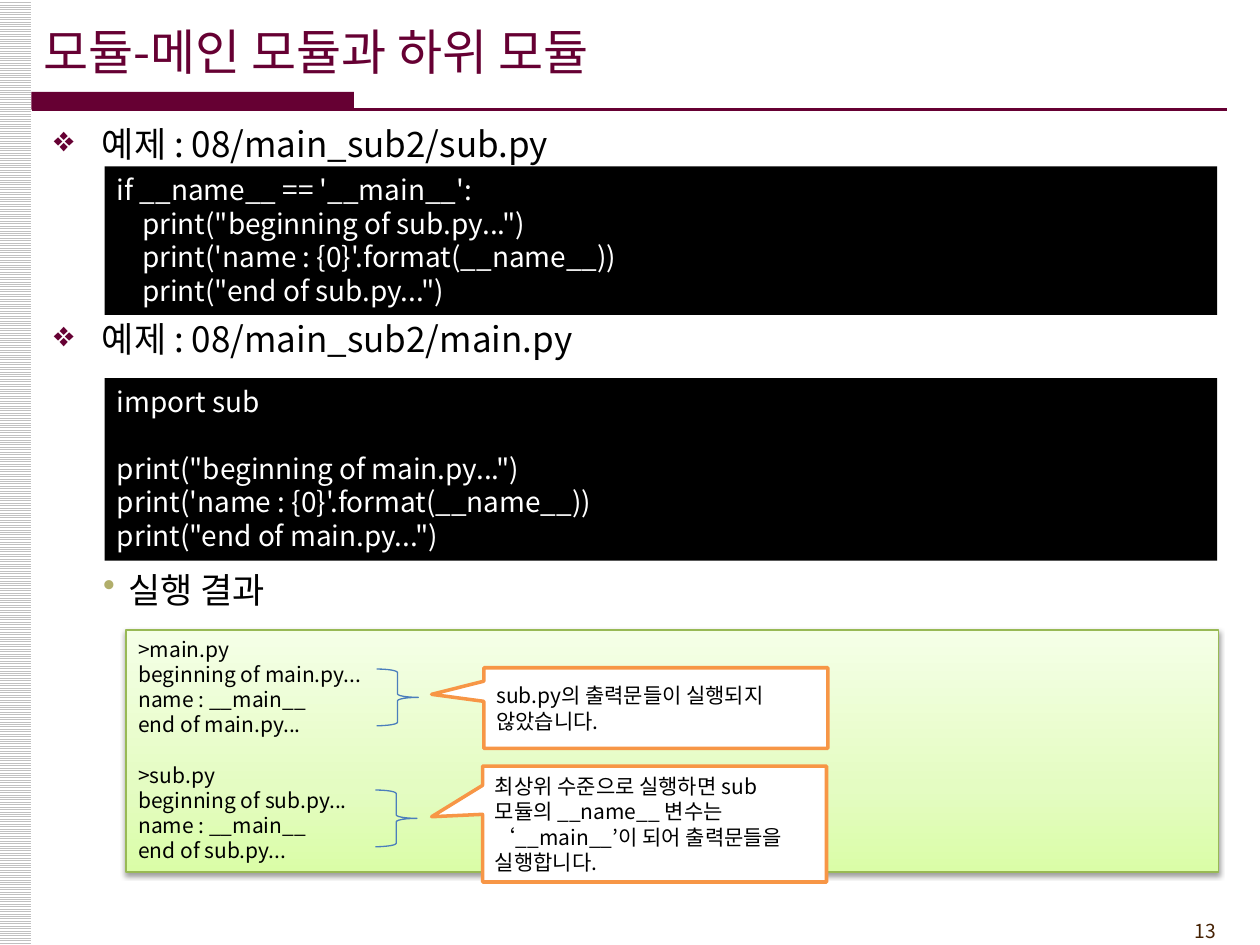
"""Build the slide about main modules and submodules."""
from copy import deepcopy

from lxml import etree
from pptx import Presentation
from pptx.dml.color import RGBColor
from pptx.enum import dml, shapes, text
from pptx.oxml.ns import qn
from pptx.util import Inches, Pt

FONT = "Noto Sans CJK KR"
COLORS = {
    "plum": "660033", "olive": "B1AE6B", "black": "000000", "white": "FFFFFF",
    "stripe": "C0C0C0", "number": "452103", "green": "98B955",
    "blue": "4B7EBC", "orange": "F79646",
}
GRADIENT = [(0, "DAFDA7"), (0.35, "E4FCC2"), (1, "F5FFE7")]
TITLE = "모듈-메인 모듈과 하위 모듈"
HEADINGS = [
    (0.92, "예제 : 08/main_sub2/sub.py", "❖", "plum", 0.38, 0.38),
    (2.47, "예제 : 08/main_sub2/main.py", "❖", "plum", 0.38, 0.38),
    (4.46, "실행 결과", "•", "olive", 0.59, 0.2),
]
CODE_BLOCKS = [
    (1.32, 1.18, [["if __name__ == '__main__':",
                   ("print(\"beginning of sub.py...\")", 0.2),
                   ("print('name : {0}'.format(__name__))", 0.2),
                   ("print(\"end of sub.py...\")", 0.2)]]),
    (3, 1.45, [["import sub"],
               ["print(\"beginning of main.py...\")",
                "print('name : {0}'.format(__name__))",
                "print(\"end of main.py...\")"]]),
]
OUTPUT = [
    [f">{name}", f"beginning of {name}...", "name : __main__", f"end of {name}..."]
    for name in ("main.py", "sub.py")
]
BRACES = [(2.99, 5.31), (2.98, 6.27)]
CALLOUTS = [
    (3.84, 5.3, 0.64, (-0.652, -0.17), "sub.py의 출력문들이 실행되지 않았습니다."),
    (3.83, 6.08, 0.92, (-0.648, -0.063),
     "최상위 수준으로 실행하면 sub 모듈의 __name__ 변수는 "
     "‘__main__’이 되어 출력문들을 실행합니다."),
]


def rgb(name):
    return RGBColor.from_string(COLORS[name])


def write(shape, groups, size=12, color="black", align="LEFT", anchor="TOP"):
    """Write groups of lines, one empty line's height apart."""
    frame = shape.text_frame
    frame.word_wrap = True
    frame.vertical_anchor = text.MSO_ANCHOR[anchor]
    paragraph = None
    for group in groups:
        for position, line in enumerate(group):
            content, indent = line if isinstance(line, tuple) else (line, 0)
            first = paragraph is None
            paragraph = frame.paragraphs[0] if first else frame.add_paragraph()
            paragraph.alignment = text.PP_ALIGN[align]
            if position == 0 and not first:
                paragraph.space_before = Pt(size * 1.2)
            if indent:
                paragraph._p.get_or_add_pPr().set("marL", str(Inches(indent)))
            run = paragraph.add_run()
            run.text = content
            run.font.size = Pt(size)
            run.font.name = FONT
            run.font.color.rgb = rgb(color)
            etree.SubElement(run._r.rPr, qn("a:ea"), typeface=FONT)


def add_box(slide, box, kind="RECTANGLE", fill=None, line=None, width=0.75):
    shape = slide.shapes.add_shape(
        shapes.MSO_SHAPE[kind], *(Inches(length) for length in box))
    shape.shadow.inherit = False
    if fill:
        shape.fill.solid()
        shape.fill.fore_color.rgb = rgb(fill)
    else:
        shape.fill.background()
    if line:
        shape.line.color.rgb = rgb(line)
        shape.line.width = Pt(width)
    else:
        shape.line.fill.background()
    return shape


def add_text(slide, box, content, **style):
    shape = slide.shapes.add_textbox(*(Inches(length) for length in box))
    write(shape, [[content]], **style)
    return shape


def add_bullet(shape, symbol, color, margin, hang):
    properties = shape.text_frame.paragraphs[0]._p.get_or_add_pPr()
    properties.set("marL", str(Inches(margin)))
    properties.set("indent", str(-Inches(hang)))
    bullet_color = etree.SubElement(properties, qn("a:buClr"))
    etree.SubElement(bullet_color, qn("a:srgbClr"), val=COLORS[color])
    etree.SubElement(properties, qn("a:buChar"), char=symbol)


def add_frame(slide):
    stripe = add_box(slide, (-0.01, 0, 0.26, 7.5))
    stripe.fill.patterned()
    stripe.fill.pattern = dml.MSO_PATTERN.LIGHT_HORIZONTAL
    stripe.fill.fore_color.rgb = rgb("stripe")
    stripe.fill.back_color.rgb = rgb("white")
    add_box(slide, (0.25, 0.73, 2.56, 0.14), fill="plum")
    rule = slide.shapes.add_connector(
        shapes.MSO_CONNECTOR.STRAIGHT,
        Inches(0.25), Inches(0.87), Inches(9.74), Inches(0.87))
    rule.line.color.rgb = rgb("plum")
    rule.line.width = Pt(1.5)
    etree.SubElement(rule._element.spPr, qn("a:effectLst"))
    add_text(slide, (0.25, 0.09, 8.27, 0.63), TITLE,
             size=28, color="plum", anchor="MIDDLE")
    add_text(slide, (8.92, 7.25, 0.83, 0.29), "13",
             size=11, color="number", align="RIGHT")


def add_output(slide):
    panel = add_box(slide, (1, 5, 8.67, 1.92), line="green")
    panel.fill.gradient()
    panel.fill.gradient_angle = 90
    stop_list = panel._element.spPr.find(qn("a:gradFill")).find(qn("a:gsLst"))
    stop_list.append(deepcopy(stop_list[-1]))
    for stop, (position, color) in zip(panel.fill.gradient_stops, GRADIENT):
        stop.position = position
        stop.color.rgb = RGBColor.from_string(color)
    effects = panel._element.spPr.find(qn("a:effectLst"))
    shadow = etree.SubElement(
        effects, qn("a:outerShdw"), blurRad=str(Pt(3.1)), dist=str(Pt(1.6)),
        dir="5400000", rotWithShape="0")
    shade = etree.SubElement(shadow, qn("a:srgbClr"), val=COLORS["black"])
    etree.SubElement(shade, qn("a:alpha"), val="38000")
    write(panel, OUTPUT)


def main():
    presentation = Presentation()
    presentation.slide_width = Inches(10)
    presentation.slide_height = Inches(7.5)
    slide = presentation.slides.add_slide(presentation.slide_layouts[6])
    add_frame(slide)
    for top, content, *bullet in HEADINGS:
        heading = add_text(slide, (0.33, top, 9.5, 0.43), content, size=20)
        add_bullet(heading, *bullet)
    for top, height, groups in CODE_BLOCKS:
        block = add_box(slide, (0.83, top, 8.83, height), fill="black")
        write(block, groups, size=16, color="white")
    add_output(slide)
    for left, top in BRACES:
        add_box(slide, (left, top, 0.33, 0.45), "RIGHT_BRACE", line="blue")
    for left, top, height, tip, content in CALLOUTS:
        callout = add_box(slide, (left, top, 2.73, height), "RECTANGULAR_CALLOUT",
                          fill="white", line="orange", width=2)
        callout.adjustments[0], callout.adjustments[1] = tip
        write(callout, [[content]], anchor="MIDDLE")
    presentation.save("out.pptx")


if __name__ == "__main__":
    main()
